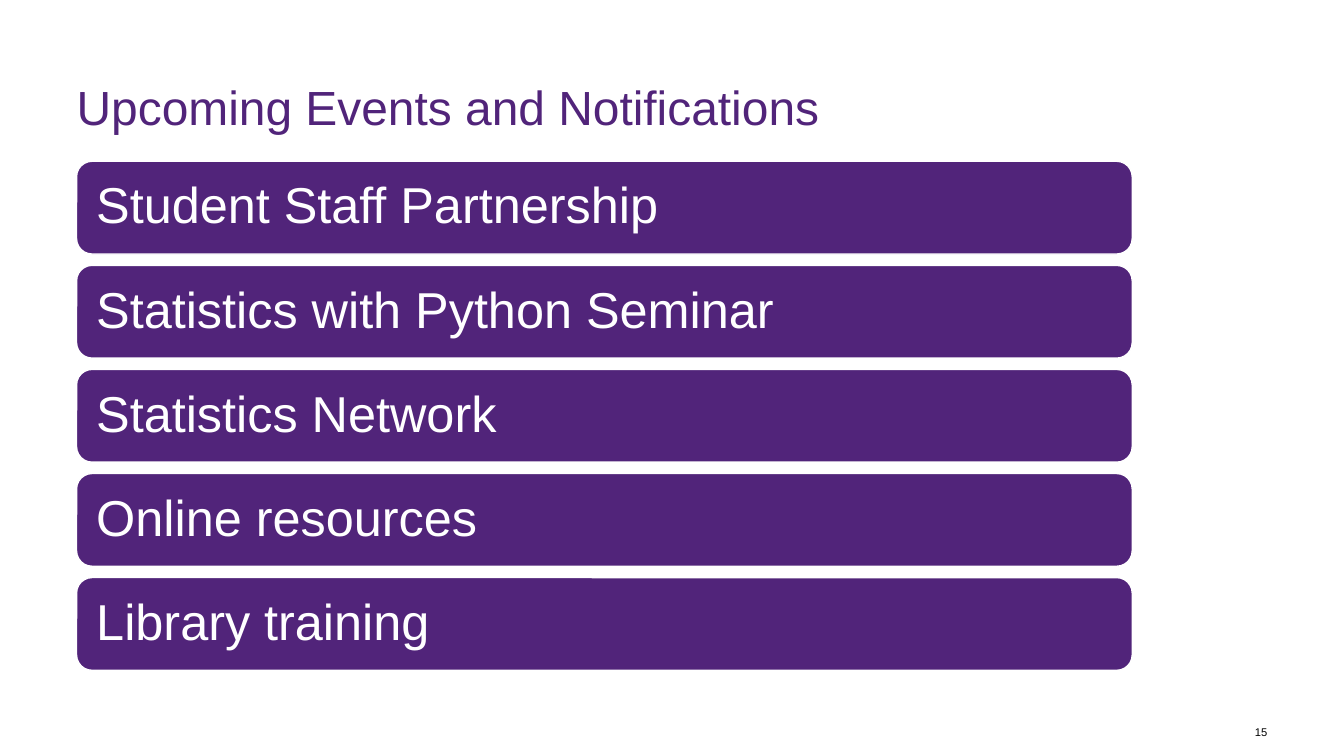
from pptx import Presentation
from pptx.dml.color import RGBColor
from pptx.enum.shapes import MSO_SHAPE as Shape
from pptx.enum.text import MSO_ANCHOR as Anchor, PP_ALIGN as Align
from pptx.util import Inches, Pt

PURPLE = RGBColor(0x51, 0x24, 0x7A)
WHITE = RGBColor(0xFF, 0xFF, 0xFF)
BLACK = RGBColor(0x00, 0x00, 0x00)
FONT = "Arial"

PAGE_WIDTH, PAGE_HEIGHT = 13.33, 7.5
LEFT, COLUMN_WIDTH = 0.76, 10.47
BARS_TOP, BARS_HEIGHT, BAR_HEIGHT = 1.6, 5.05, 0.92

EVENTS = [
    "Student Staff Partnership",
    "Statistics with Python Seminar",
    "Statistics Network",
    "Online resources",
    "Library training",
]


def write(box, text, *, size, color, align=Align.LEFT, inset=0, line_spacing=1.0):
    frame = box.text_frame
    frame.word_wrap = True
    frame.vertical_anchor = Anchor.MIDDLE
    frame.margin_left = frame.margin_right = Inches(inset)
    frame.margin_top = frame.margin_bottom = Inches(inset)
    para = frame.paragraphs[0]
    para.alignment = align
    para.line_spacing = line_spacing
    span = para.add_run()
    span.text = text
    span.font.name = FONT
    span.font.size = Pt(size)
    span.font.color.rgb = color


def add_text(page, text, left, top, width, height, **text_format):
    box = page.shapes.add_textbox(*map(Inches, (left, top, width, height)))
    write(box, text, **text_format)


def add_event_bar(page, text, top):
    bar = page.shapes.add_shape(
        Shape.ROUNDED_RECTANGLE,
        *map(Inches, (LEFT, top, COLUMN_WIDTH, BAR_HEIGHT)))
    bar.shadow.inherit = False
    bar.fill.solid()
    bar.fill.fore_color.rgb = PURPLE
    bar.line.color.rgb = WHITE
    bar.line.width = Pt(1)
    write(bar, text, size=36, color=WHITE, inset=0.15, line_spacing=0.9)


def main():
    deck = Presentation()
    deck.slide_width, deck.slide_height = Inches(PAGE_WIDTH), Inches(PAGE_HEIGHT)
    page = deck.slides.add_slide(deck.slide_layouts[6])

    pitch = (BARS_HEIGHT - BAR_HEIGHT) / (len(EVENTS) - 1)
    for row, event in enumerate(EVENTS):
        add_event_bar(page, event, BARS_TOP + row * pitch)

    add_text(page, "Upcoming Events and Notifications", LEFT, 0.84, COLUMN_WIDTH, 0.51,
             size=34.2, color=PURPLE, line_spacing=0.9)
    add_text(page, "15", 12.26, 7.13, 0.31, 0.26,
             size=8, color=BLACK, align=Align.RIGHT)
    deck.save("out.pptx")


if __name__ == "__main__":
    main()
